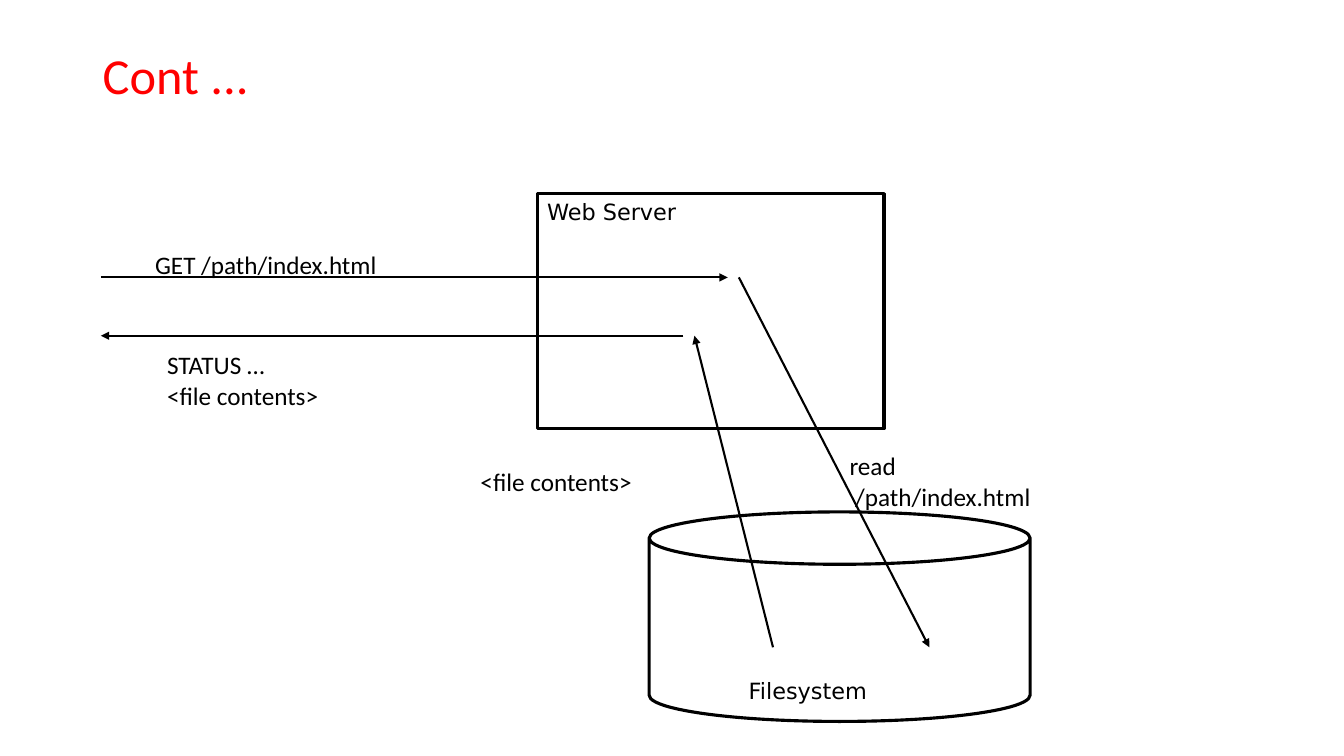
from lxml.etree import SubElement
from pptx import Presentation
from pptx.dml.color import RGBColor
from pptx.enum.shapes import MSO_CONNECTOR, MSO_SHAPE
from pptx.enum.text import MSO_ANCHOR, MSO_AUTO_SIZE
from pptx.oxml.ns import qn
from pptx.util import Cm, Pt

BLACK, RED = "000000", "FF0000"
TITLE_FONT = {"name": "Calibri", "size": Pt(36)}
MESSAGE_FONT = {"name": "Calibri", "size": Pt(18)}
NODE_FONT = {"name": "DejaVu Sans", "size": Pt(16)}
LABEL_FRAME = {"word_wrap": False, "auto_size": MSO_AUTO_SIZE.SHAPE_TO_FIT_TEXT}
TITLE_FRAME = {"word_wrap": True, "vertical_anchor": MSO_ANCHOR.MIDDLE}

# Heights shared by the arrows
REQUEST_Y, RESPONSE_Y, DISK_Y = 6.99, 8.46, 16.31
CLIENT_X = 2.54


def rgb(value):
    return RGBColor.from_string(value)


def apply_format(target, values):
    for name, value in values.items():
        setattr(target, name, value)


def add_text(slide, box, lines, font, color=BLACK, frame=LABEL_FRAME, spacing=1.0):
    """Place one paragraph per line in a box of left, top, width, height in cm."""
    text_frame = slide.shapes.add_textbox(*map(Cm, box)).text_frame
    apply_format(text_frame, frame)
    for index, line in enumerate(lines):
        paragraph = text_frame.add_paragraph() if index else text_frame.paragraphs[0]
        paragraph.line_spacing = spacing
        run = paragraph.add_run()
        run.text = line
        apply_format(run.font, font)
        run.font.color.rgb = rgb(color)


def add_title(slide, box, text):
    add_text(slide, box, [text], TITLE_FONT, RED, TITLE_FRAME, 0.9)


def add_node(slide, kind, box, name, label_offset, label_size):
    """Draw an outlined node with its name offset from the node's corner."""
    shape = slide.shapes.add_shape(kind, *map(Cm, box))
    shape.shadow.inherit = False
    shape.fill.background()
    shape.line.color.rgb = rgb(BLACK)
    shape.line.width = Pt(2.25)
    left, top = box[0] + label_offset[0], box[1] + label_offset[1]
    add_text(slide, (left, top, *label_size), [name], NODE_FONT)


def add_message(slide, start, end, label_box, lines):
    """Draw an arrow from start to end together with its label."""
    arrow = slide.shapes.add_connector(MSO_CONNECTOR.STRAIGHT, *map(Cm, start + end))
    arrow.line.color.rgb = rgb(BLACK)
    arrow.line.width = Pt(1.5)
    SubElement(arrow.line._get_or_add_ln(), qn("a:tailEnd"), type="triangle")
    SubElement(arrow._element.spPr, qn("a:effectLst"))
    add_text(slide, label_box, lines, MESSAGE_FONT)


def main():
    presentation = Presentation()
    presentation.slide_width, presentation.slide_height = Cm(33.87), Cm(19.05)
    slide = presentation.slides.add_slide(presentation.slide_layouts[6])

    add_title(slide, (2.34, 1.02, 29.21, 1.9), "Cont ...")
    add_message(slide, (CLIENT_X, REQUEST_Y), (18.34, REQUEST_Y),
                (3.66, 6.15, 6.15, 1.02), ["GET /path/index.html"])
    add_node(slide, MSO_SHAPE.RECTANGLE, (13.54, 4.88, 8.74, 5.92),
             "Web Server", (0, 0), (3.84, 0.94))
    add_node(slide, MSO_SHAPE.CAN, (16.36, 12.9, 9.6, 5.28),
             "Filesystem", (2.26, 4.04), (3.56, 0.94))
    add_message(slide, (18.62, REQUEST_Y), (23.42, DISK_Y),
                (21.16, 11.23, 5.13, 1.8), ["read", " /path/index.html"])
    add_message(slide, (19.48, DISK_Y), (17.5, RESPONSE_Y),
                (11.86, 11.63, 4.37, 1.02), ["<file contents>"])
    add_message(slide, (17.22, RESPONSE_Y), (CLIENT_X, RESPONSE_Y),
                (3.96, 8.69, 4.37, 1.8), ["STATUS …", "<file contents>"])
    presentation.save("out.pptx")


if __name__ == "__main__":
    main()
